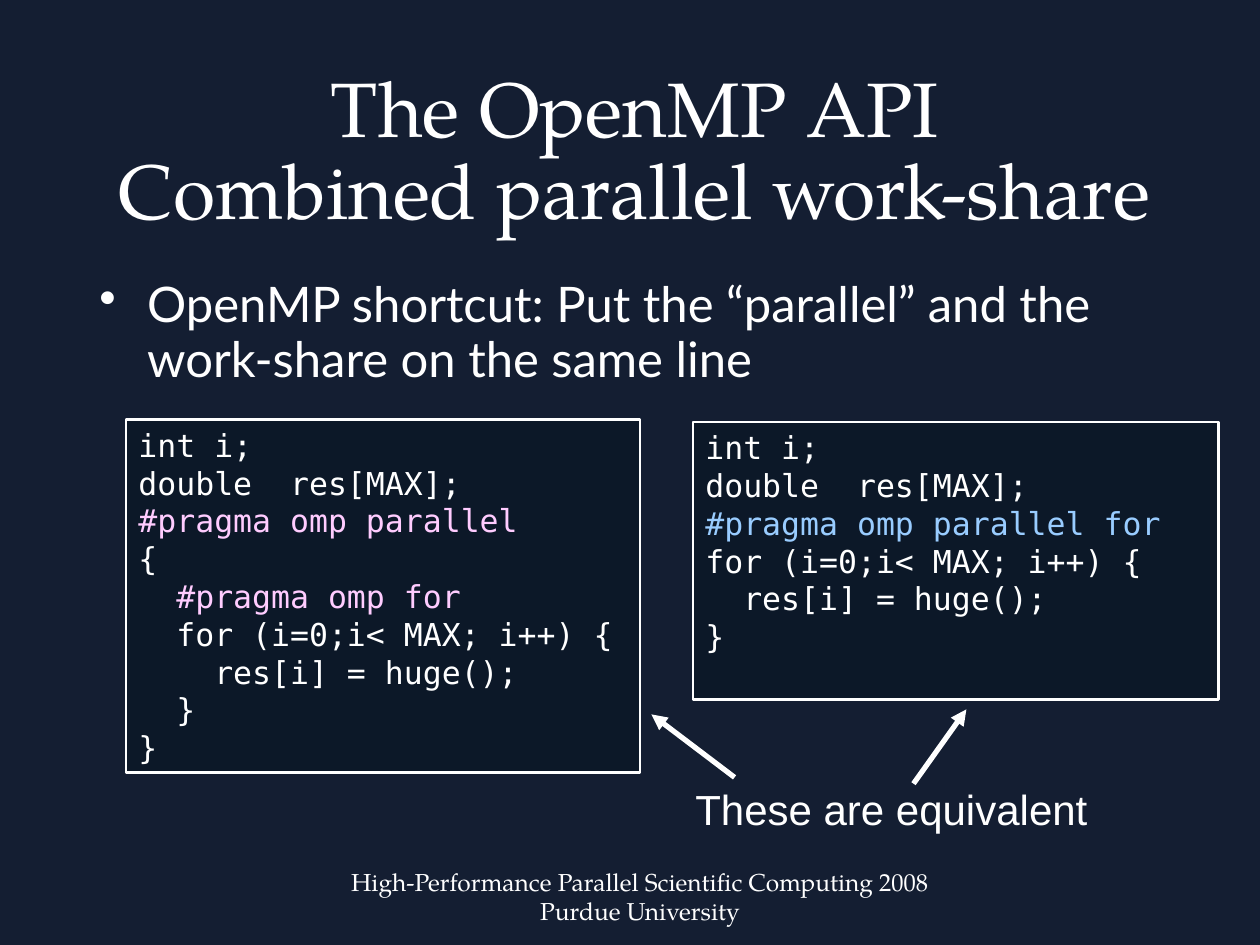
from lxml import etree
from pptx import Presentation
from pptx.dml.color import RGBColor
from pptx.enum import shapes, text
from pptx.oxml import ns
from pptx.util import Inches, Pt

NAVY, PANEL, WHITE, PINK, BLUE = "141E32", "0C1828", "FFFFFF", "FFCCFF", "99CCFF"
SERIF, SANS, MONO = "TeX Gyre Pagella", "Lato", "DejaVu Sans Mono"
LEFT, CENTER = text.PP_ALIGN.LEFT, text.PP_ALIGN.CENTER

LONG_FORM = """int i;
double  res[MAX];
#pragma omp parallel
{
  #pragma omp for
  for (i=0;i< MAX; i++) {
    res[i] = huge();
  }
}"""
SHORT_FORM = """int i;
double  res[MAX];
#pragma omp parallel for
for (i=0;i< MAX; i++) {
  res[i] = huge();
}"""


def rgb(value):
    """Return the colour for a hex string."""
    return RGBColor.from_string(value)


def write(p, words, font, size, color=WHITE, align=LEFT, spacing=None, bullet=None):
    """Fill a paragraph with formatted text."""
    p.text = words
    p.alignment = align
    if spacing:
        p.line_spacing = spacing
    if bullet:
        pPr = p._p.get_or_add_pPr()
        pPr.set("marL", str(Inches(0.38)))
        pPr.set("indent", str(-Inches(0.38)))
        etree.SubElement(pPr, ns.qn("a:buChar")).set("char", bullet)
    for r in p.runs:
        r.font.name = font
        r.font.size = Pt(size)
        r.font.color.rgb = rgb(color)


def add_text(s, box, lines, font, size, anchor=text.MSO_ANCHOR.TOP, wrap=True, **fmt):
    """Add a text box with one paragraph for each line."""
    tf = s.shapes.add_textbox(*map(Inches, box)).text_frame
    tf.word_wrap = wrap
    tf.vertical_anchor = anchor
    for i, line in enumerate(lines):
        write(tf.add_paragraph() if i else tf.paragraphs[0], line, font, size, **fmt)


def add_code(s, box, code, pragma_color):
    """Add a bordered code panel with its pragma lines highlighted."""
    sp = s.shapes.add_shape(shapes.MSO_SHAPE.RECTANGLE, *map(Inches, box))
    sp.shadow.inherit = False
    sp.fill.solid()
    sp.fill.fore_color.rgb = rgb(PANEL)
    sp.line.color.rgb = rgb(WHITE)
    sp.line.width = Pt(1.5)
    tf = sp.text_frame
    tf.word_wrap = True
    tf.vertical_anchor = text.MSO_ANCHOR.TOP
    for i, line in enumerate(code.splitlines()):
        p = tf.add_paragraph() if i else tf.paragraphs[0]
        write(p, line, MONO, 18, color=pragma_color if "#pragma" in line else WHITE)


def add_arrow(s, start, end):
    """Add a straight arrow pointing at its end."""
    sp = s.shapes.add_connector(shapes.MSO_CONNECTOR.STRAIGHT, *map(Inches, start + end))
    sp.line.color.rgb = rgb(WHITE)
    sp.line.width = Pt(3)
    etree.SubElement(sp.line._get_or_add_ln(), ns.qn("a:tailEnd")).set("type", "triangle")
    etree.SubElement(sp._element.spPr, ns.qn("a:effectLst"))


def add_comparison(s, left, top):
    """Add the two code panels and the note that links them."""
    add_code(s, (left, top, 4.08, 2.8), LONG_FORM, PINK)
    add_code(s, (left + 4.5, top + 0.02, 4.17, 2.2), SHORT_FORM, BLUE)
    add_arrow(s, (left + 4.83, top + 2.84), (left + 4.17, top + 2.34))
    add_arrow(s, (left + 6.25, top + 2.89), (left + 6.67, top + 2.3))
    add_text(s, (left + 4.42, top + 2.84, 3.4, 0.5), ["These are equivalent"],
             "Arial", 24, wrap=False)


def main():
    """Build and save the slide."""
    prs = Presentation()
    prs.slide_width, prs.slide_height = Inches(10), Inches(7.5)
    s = prs.slides.add_slide(prs.slide_layouts[6])
    s.background.fill.solid()
    s.background.fill.fore_color.rgb = rgb(NAVY)
    add_text(s, (0.67, 0.42, 8.74, 1.5), ["The OpenMP API\vCombined parallel work-share"],
             SERIF, 44, anchor=text.MSO_ANCHOR.BOTTOM, align=CENTER, spacing=0.89)
    add_text(s, (0.69, 2.16, 8.79, 1.09),
             ["OpenMP shortcut: Put the “parallel” and the work-share on the same line"],
             SANS, 28, spacing=0.94, bullet="•")
    add_comparison(s, 1, 3.33)
    add_text(s, (2.58, 6.83, 5, 0.52),
             ["High-Performance Parallel Scientific Computing 2008", "Purdue University"],
             SERIF, 14, align=CENTER)
    prs.save("out.pptx")


if __name__ == "__main__":
    main()
